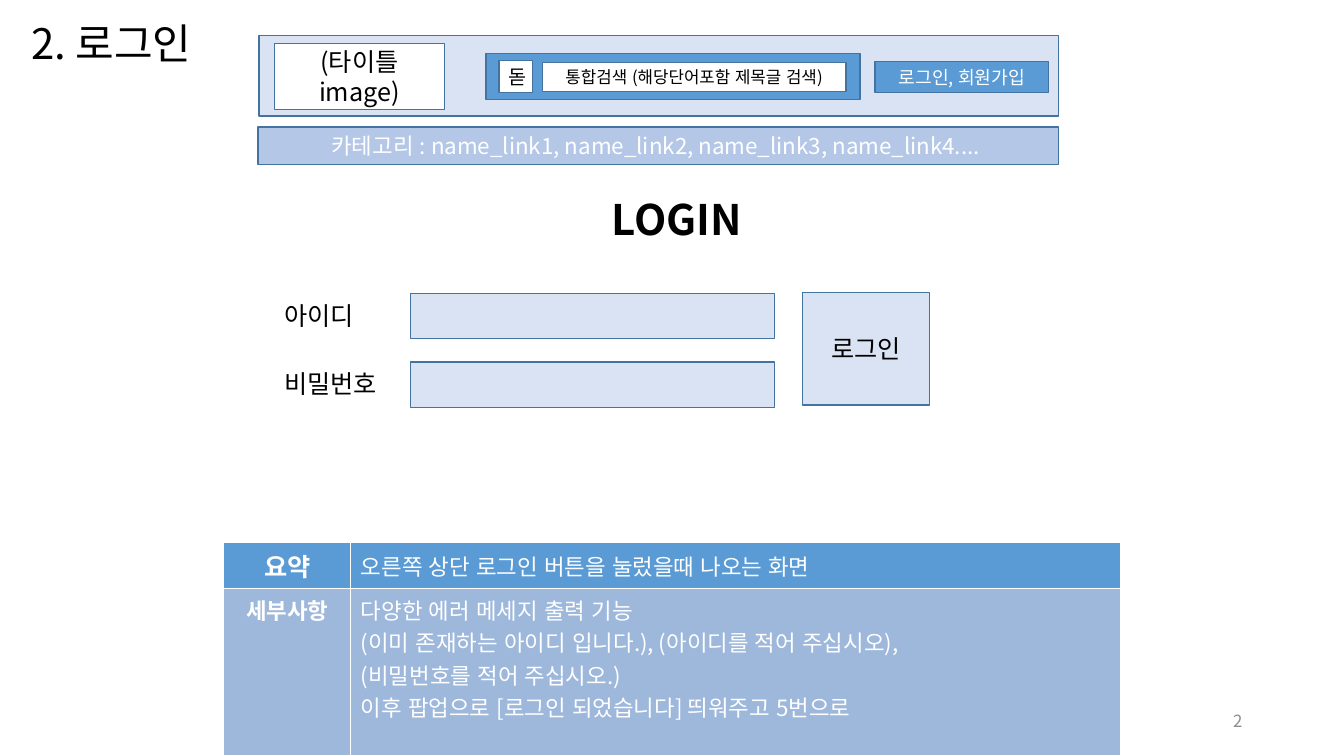
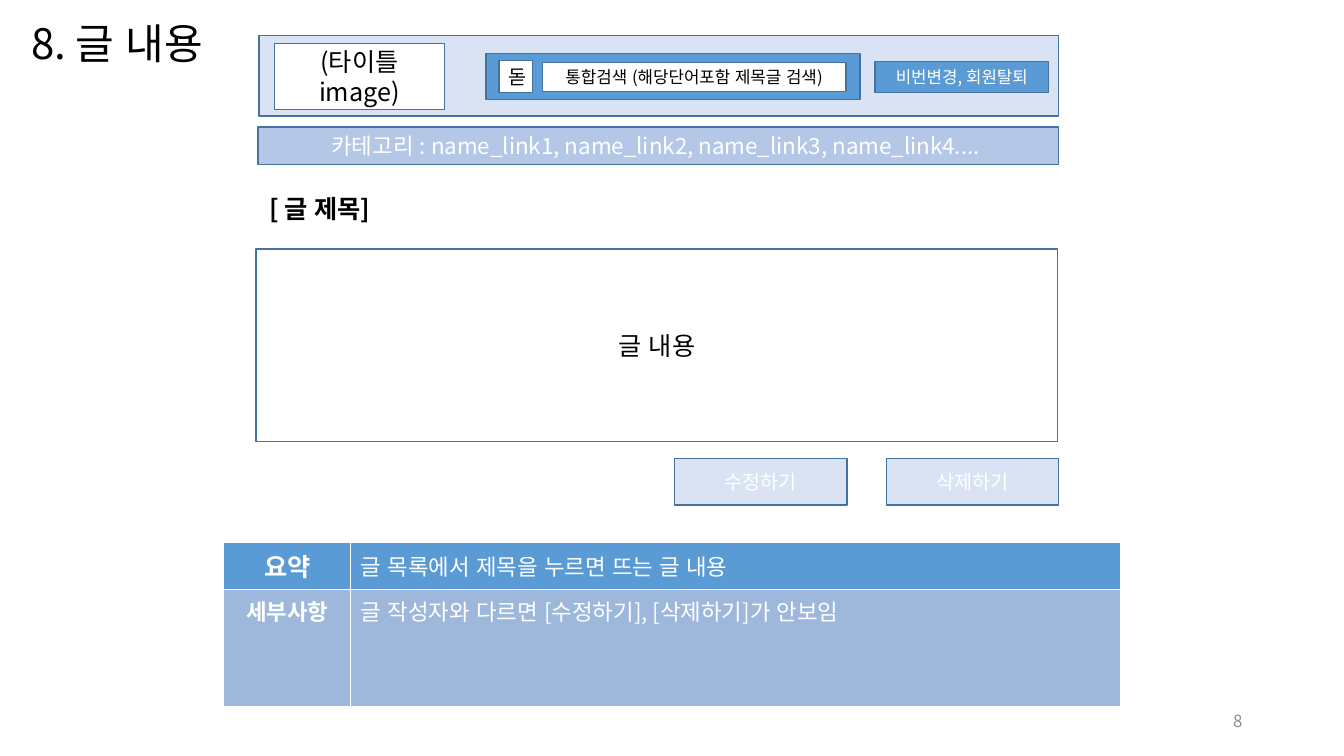
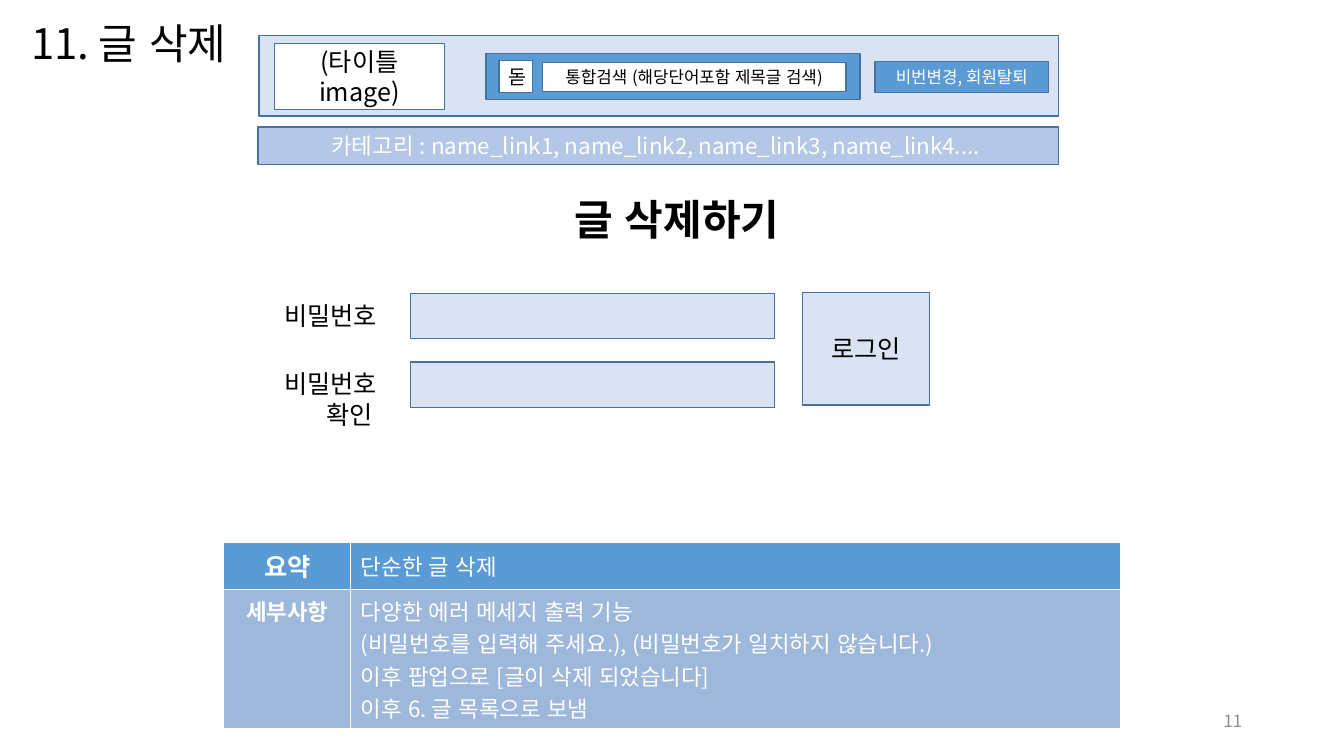
from lxml.etree import SubElement
from pptx import Presentation
from pptx.dml.color import RGBColor
from pptx.enum.lang import MSO_LANGUAGE_ID as Lang
from pptx.enum.shapes import MSO_SHAPE as Shape
from pptx.enum.text import MSO_ANCHOR as Anchor, PP_ALIGN as Align
from pptx.oxml.ns import qn
from pptx.util import Pt

PX = 9144
FONT = "Noto Sans CJK KR"
BLACK, WHITE, GRAY = "000000", "FFFFFF", "8C8C8C"
PALE, SOFT, BLUE, ROW, EDGE = "DAE3F3", "B4C7E7", "5B9BD5", "9EB8DC", "43739E"

HEADER = [
    ((257, 35, 793, 80), PALE, "", {}),
    ((272, 43, 169, 66), WHITE, "(타이틀 image)", {}),
    ((482, 53, 371, 46), BLUE, "", {}),
    ((495, 60, 33, 32), WHITE, "돋", {"size": 14}),
    ((538, 62, 301, 29), WHITE, "통합검색 (해당단어포함 제목글 검색)", {"size": 12}),
    ((256, 126, 794, 37), SOFT,
     "카테고리 : name_link1, name_link2, name_link3, name_link4.... ",
     {"size": 16, "color": WHITE}),
]
MEMBER_MENU = ("비번변경, 회원탈퇴", 12)

SLIDES = [
    {
        "number": 2, "title": "로그인", "menu": ("로그인, 회원가입", 13),
        "form": ("LOGIN", [["아이디"], ["비밀번호"]]),
        "summary": "오른쪽 상단 로그인 버튼을 눌렀을때 나오는 화면",
        "details": ["다양한 에러 메세지 출력 기능",
                    "(이미 존재하는 아이디 입니다.), (아이디를 적어 주십시오),",
                    "(비밀번호를 적어 주십시오.)",
                    "이후 팝업으로 [로그인 되었습니다] 띄워주고 5번으로"],
        "rows": (46, 166),
    },
    {
        "number": 8, "title": "글 내용", "menu": MEMBER_MENU,
        "post": ("[ 글 제목]", "글 내용", ["수정하기", "삭제하기"]),
        "summary": "글 목록에서 제목을 누르면 뜨는 글 내용",
        "details": ["글 작성자와 다르면 [수정하기], [삭제하기]가 안보임"],
        "rows": (47, 116),
    },
    {
        "number": 11, "title": "글 삭제", "menu": MEMBER_MENU,
        "form": ("글 삭제하기", [["비밀번호"], ["비밀번호", "확인"]]),
        "summary": "단순한 글 삭제",
        "details": ["다양한 에러 메세지 출력 기능",
                    "(비밀번호를 입력해 주세요.), (비밀번호가 일치하지 않습니다.)",
                    "이후 팝업으로 [글이 삭제 되었습니다]",
                    "이후 6. 글 목록으로 보냄"],
        "rows": (47, 138),
    },
]


def rgb(value):
    return RGBColor.from_string(value)


def emu(place):
    return [length * PX for length in place]


def write(frame, lines, size=18, color=BLACK, bold=False, align=Align.LEFT,
          spacing=None, indent=0):
    for index, line in enumerate([lines] if isinstance(lines, str) else lines):
        para = frame.add_paragraph() if index else frame.paragraphs[0]
        para.alignment = align
        if spacing:
            para.line_spacing = spacing
        if index and indent:
            para._p.get_or_add_pPr().set("marL", str(indent * PX))
        span = para.add_run()
        span.text = line
        font = span.font
        font.size, font.bold, font.name = Pt(size), bold, FONT
        font.color.rgb = rgb(color)
        font.language_id = Lang.KOREAN
        SubElement(span._r.get_or_add_rPr(), qn("a:ea"), typeface=FONT)


def add_text(page, place, lines, anchor=Anchor.TOP, **style):
    frame = page.shapes.add_textbox(*emu(place)).text_frame
    frame.word_wrap = True
    frame.vertical_anchor = anchor
    write(frame, lines, **style)


def add_box(page, place, fill, text="", kind=Shape.RECTANGLE, **style):
    box = page.shapes.add_shape(kind, *emu(place))
    box.shadow.inherit = False
    box.fill.solid()
    box.fill.fore_color.rgb = rgb(fill)
    box.line.color.rgb = rgb(EDGE)
    box.line.width = Pt(1)
    if text:
        box.text_frame.vertical_anchor = Anchor.MIDDLE
        write(box.text_frame, text, align=Align.CENTER, **style)


def style_cell(cell, lines, fill, anchor, **style):
    props = cell._tc.get_or_add_tcPr()
    for side in "LRTB":
        edge = SubElement(props, qn(f"a:ln{side}"), w=str(Pt(1)))
        SubElement(SubElement(edge, qn("a:solidFill")), qn("a:srgbClr"), val=WHITE)
    cell.fill.solid()
    cell.fill.fore_color.rgb = rgb(fill)
    cell.vertical_anchor = anchor
    write(cell.text_frame, lines, color=WHITE, **style)


def add_notes_table(page, summary, details, heights):
    table = page.shapes.add_table(2, 2, *emu((222, 538, 889, sum(heights)))).table
    for column, width in zip(table.columns, (126, 763)):
        column.width = width * PX
    rows = [("요약", 18, summary, BLUE, Anchor.MIDDLE),
            ("세부사항", 16, details, ROW, Anchor.TOP)]
    for index, (label, size, lines, fill, anchor) in enumerate(rows):
        table.rows[index].height = heights[index] * PX
        style_cell(table.cell(index, 0), label, fill, anchor,
                   size=size, bold=True, align=Align.CENTER)
        style_cell(table.cell(index, 1), lines, fill, anchor, size=16)


def add_frame(page, number, title, menu):
    add_text(page, (21, 16, 269, 60), f"{number}. {title}", Anchor.MIDDLE,
             size=30, spacing=0.9)
    add_text(page, (942, 695, 300, 40), str(number), Anchor.MIDDLE,
             size=12, color=GRAY, align=Align.RIGHT)
    for place, fill, text, style in HEADER:
        add_box(page, place, fill, text, **style)
    text, size = menu
    add_box(page, (868, 61, 172, 31), BLUE, text, size=size, color=WHITE)


def add_form(page, heading, fields):
    add_text(page, (463, 187, 417, 61), heading, size=30, bold=True,
             align=Align.CENTER)
    for index, label in enumerate(fields):
        top = 291 + 68 * index
        add_text(page, (272, top + 2, 213, 40), label, indent=42)
        add_box(page, (407, top, 361, 45), PALE, kind=Shape.FLOWCHART_PROCESS)
    add_box(page, (796, 290, 126, 112), PALE, "로그인")


def add_post(page, heading, body, buttons):
    add_text(page, (257, 187, 290, 40), heading, bold=True)
    add_box(page, (254, 247, 795, 191), WHITE, body)
    for index, button in enumerate(buttons):
        add_box(page, (669 + 210 * index, 455, 171, 46), PALE, button,
                kind=Shape.FLOWCHART_PROCESS, size=14, color=WHITE)


def main():
    deck = Presentation()
    deck.slide_width, deck.slide_height = emu((1333, 750))
    for content in SLIDES:
        page = deck.slides.add_slide(deck.slide_layouts[6])
        add_frame(page, content["number"], content["title"], content["menu"])
        add_notes_table(page, content["summary"], content["details"], content["rows"])
        if "form" in content:
            add_form(page, *content["form"])
        else:
            add_post(page, *content["post"])
    deck.save("out.pptx")


if __name__ == "__main__":
    main()
